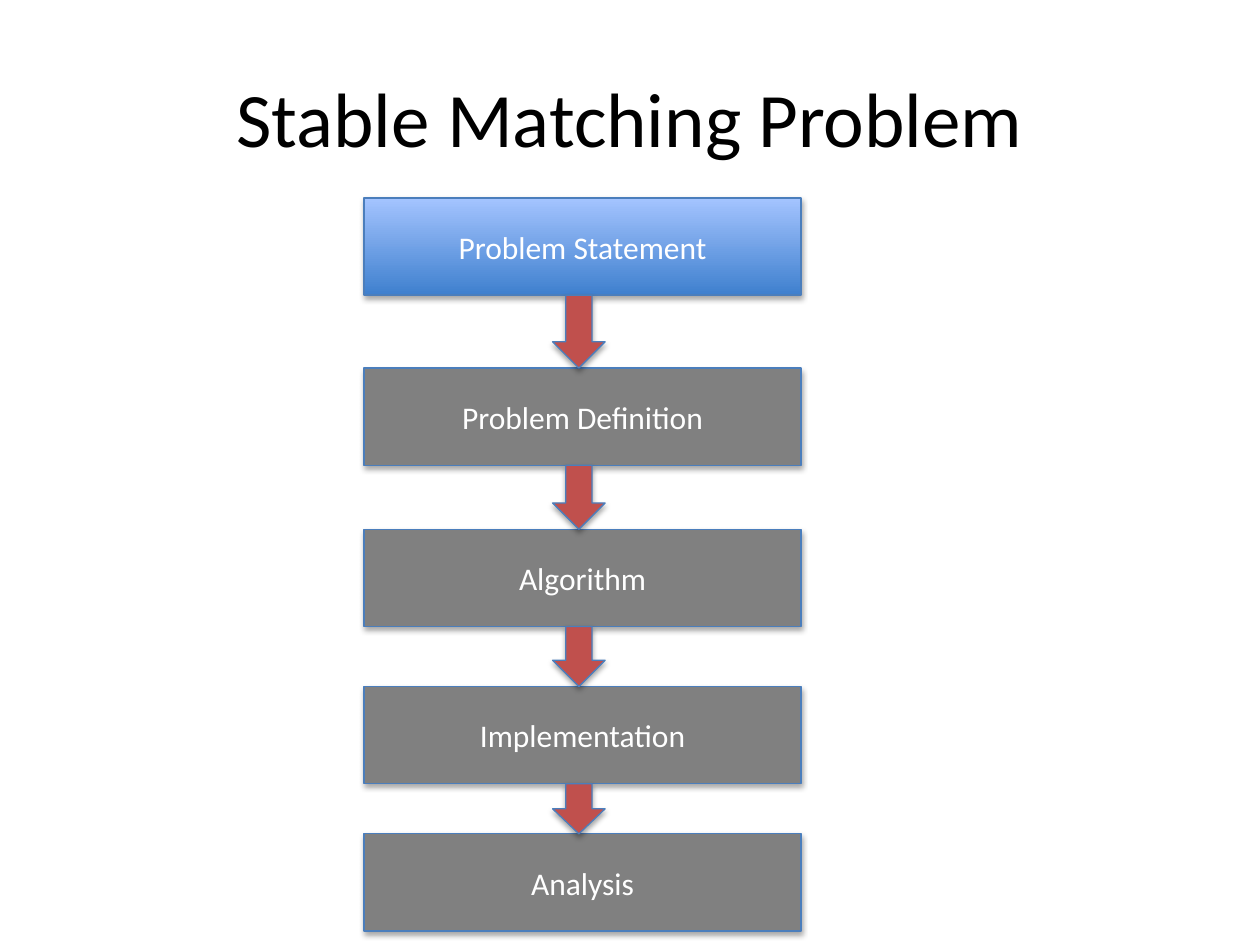
from lxml.etree import SubElement
from pptx import Presentation
from pptx.dml.color import RGBColor
from pptx.enum.shapes import MSO_SHAPE
from pptx.enum.text import MSO_ANCHOR, PP_ALIGN
from pptx.oxml.ns import qn
from pptx.util import Cm, Pt

FONT = "Calibri"
LINE, GRAY, RED = "4B7EBC", "808080", "C0504D"
GRADIENT = ("3F80CE", "A4C4FF")
# Each step with its top edge in cm, relative to the flow's box
STEPS = [
    ("Problem Statement", 0),
    ("Problem Definition", 3.43),
    ("Algorithm", 6.68),
    ("Implementation", 9.85),
    ("Analysis", 12.82),
]
STEP_HEIGHT = 1.96
ARROW_OFFSET, ARROW_WIDTH = 3.8, 1.06


def color(value):
    return RGBColor.from_string(value)


def format_text(shape, text, size, font_color):
    frame = shape.text_frame
    frame.text = text
    frame.word_wrap = True
    frame.vertical_anchor = MSO_ANCHOR.MIDDLE
    paragraph = frame.paragraphs[0]
    paragraph.alignment = PP_ALIGN.CENTER
    paragraph.font.name = FONT
    paragraph.font.size = Pt(size)
    paragraph.font.color.rgb = color(font_color)


def add_drop_shadow(shape):
    shape.shadow.inherit = False
    effects = shape._element.spPr.find(qn("a:effectLst"))
    shadow = SubElement(effects, qn("a:outerShdw"), blurRad=str(Pt(3.1)),
                        dist=str(Pt(1.8)), dir="5400000", rotWithShape="0")
    shade = SubElement(shadow, qn("a:srgbClr"), val="000000")
    SubElement(shade, qn("a:alpha"), val="35000")


def add_block(slide, kind, left, top, width, height, fill):
    """Add an outlined, shadowed shape; a pair of colours makes a gradient."""
    shape = slide.shapes.add_shape(kind, Cm(left), Cm(top), Cm(width), Cm(height))
    if isinstance(fill, tuple):
        shape.fill.gradient()
        shape.fill.gradient_angle = 90
        for stop, value in zip(shape.fill.gradient_stops, fill):
            stop.color.rgb = color(value)
    else:
        shape.fill.solid()
        shape.fill.fore_color.rgb = color(fill)
    shape.line.color.rgb = color(LINE)
    shape.line.width = Pt(0.75)
    add_drop_shadow(shape)
    return shape


def place_title(slide, left, top, width, height):
    title = slide.shapes.title
    title.left, title.top = Cm(left), Cm(top)
    title.width, title.height = Cm(width), Cm(height)
    format_text(title, "Stable Matching Problem", 44, "000000")


def add_flow(slide, left, top, width):
    for index, (label, offset) in enumerate(STEPS):
        fill = GRAY if index else GRADIENT
        step = add_block(slide, MSO_SHAPE.RECTANGLE, left, top + offset,
                         width, STEP_HEIGHT, fill)
        format_text(step, label, 18, "FFFFFF")
    for (_, upper), (_, lower) in zip(STEPS, STEPS[1:]):
        start = upper + STEP_HEIGHT
        add_block(slide, MSO_SHAPE.DOWN_ARROW, left + ARROW_OFFSET, top + start,
                  ARROW_WIDTH, lower - start, RED)


def main():
    presentation = Presentation()
    presentation.slide_width, presentation.slide_height = Cm(25.4), Cm(19.05)
    slide = presentation.slides.add_slide(presentation.slide_layouts[5])
    place_title(slide, 1.27, 0.76, 22.86, 3.18)
    add_flow(slide, 7.34, 3.99, 8.81)
    presentation.save("out.pptx")


if __name__ == "__main__":
    main()
